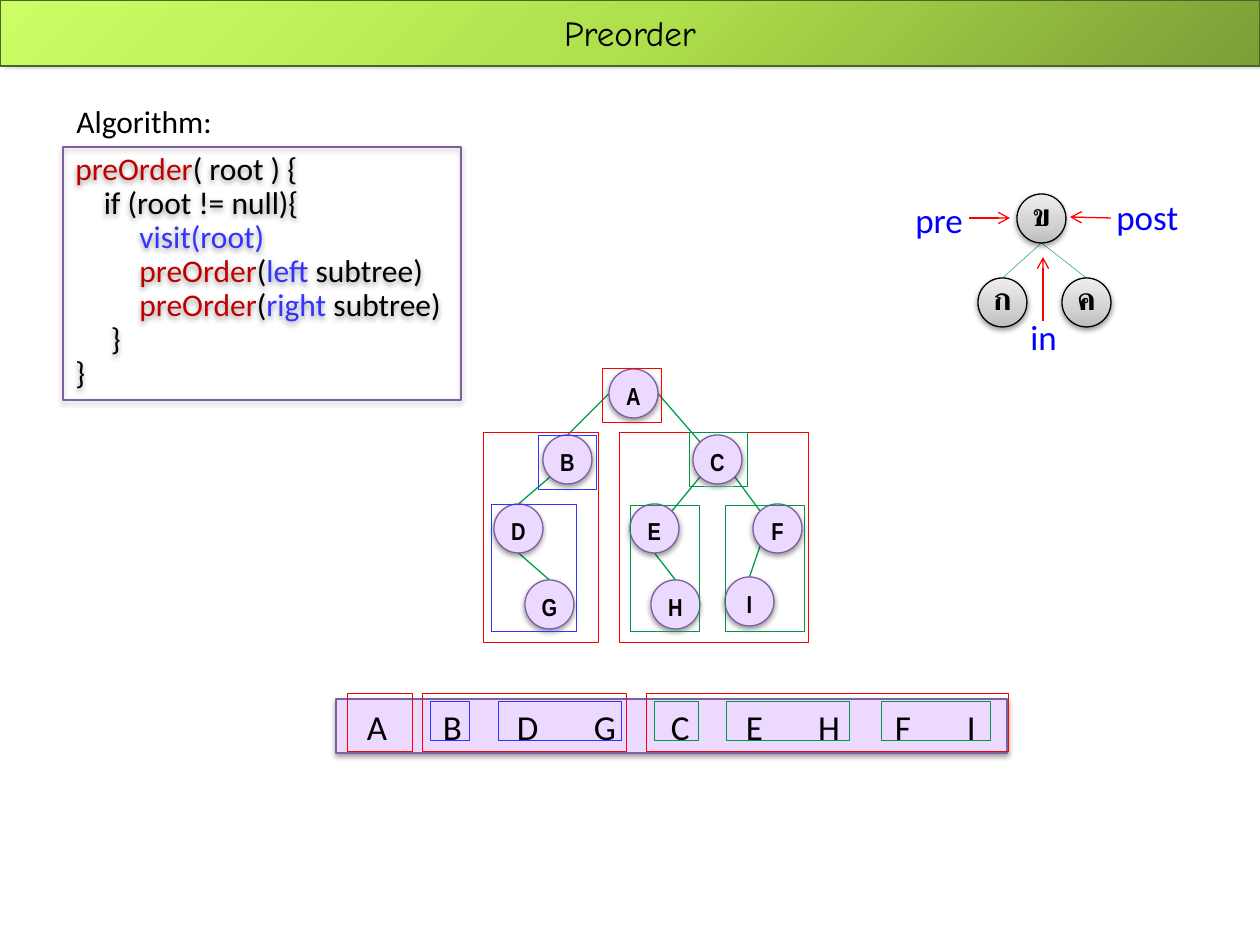
from math import cos, radians, sin

from lxml.etree import SubElement
from pptx import Presentation
from pptx.dml.color import RGBColor
from pptx.enum.shapes import MSO_CONNECTOR as CXN, MSO_SHAPE as SHAPE
from pptx.enum.text import MSO_ANCHOR as ANCHOR, PP_ALIGN as ALIGN
from pptx.oxml.ns import qn
from pptx.util import Emu, Pt

BLACK = RGBColor(0x00, 0x00, 0x00)
RED = RGBColor(0xFF, 0x00, 0x00)
DARK_RED = RGBColor(0xC0, 0x00, 0x00)
BLUE = RGBColor(0x33, 0x33, 0xFF)
LABEL_BLUE = RGBColor(0x00, 0x00, 0xFF)
GREEN = RGBColor(0x00, 0x96, 0x44)
EDGE_GREEN = RGBColor(0x00, 0x9E, 0x47)
OLIVE = RGBColor(0x4F, 0x62, 0x28)
LILAC = RGBColor(0xEC, 0xD9, 0xFF)
PURPLE = RGBColor(0x7D, 0x60, 0xA0)
TITLE_STOPS = [(0, RGBColor(0x7B, 0x9E, 0x36)), (50, RGBColor(0xAF, 0xE1, 0x4C)),
               (100, RGBColor(0xCC, 0xFF, 0x66))]
GREY_STOPS = [(0, RGBColor(0xBD, 0xBD, 0xBD)), (35, RGBColor(0xD1, 0xD1, 0xD1)),
              (100, RGBColor(0xEE, 0xEE, 0xEE))]

CODE = [
    [("preOrder", DARK_RED), ("( root ) {", BLACK)],
    [("    if (root != null){", BLACK)],
    [("         ", BLACK), ("visit(root)", BLUE)],
    [("         ", BLACK), ("preOrder", DARK_RED), ("(", BLACK), ("left ", BLUE), ("subtree)", BLACK)],
    [("         ", BLACK), ("preOrder", DARK_RED), ("(", BLACK), ("right ", BLUE), ("subtree)", BLACK)],
    [("     }", BLACK)],
    [("}", BLACK)],
]

# Visiting order: letter and its left edge
VISITS = [("A", 367), ("B", 443), ("D", 517), ("G", 594), ("C", 671),
          ("E", 746), ("H", 818), ("F", 895), ("I", 967)]
BAR = (336, 699, 671, 54)

# Nodes: left and top
NODE = 49
TREE = {"B": (543, 435), "C": (693, 435), "D": (494, 504), "E": (630, 504), "F": (753, 504),
        "G": (525, 580), "H": (651, 580), "A": (609, 369), "I": (725, 577)}
KEY = {"ข": (1017, 194), "ค": (1062, 278), "ก": (978, 278)}

# Edges: child, site, parent, site; sites run counter-clockwise from the top in steps of 45 degrees
TREE_EDGES = [("B", 0, "A", 2), ("C", 1, "A", 6), ("D", 0, "B", 3), ("E", 7, "C", 3),
              ("F", 1, "C", 5), ("G", 0, "D", 4), ("H", 0, "E", 4), ("I", 0, "F", 3)]
KEY_EDGES = [("ค", 0, "ข", 4), ("ก", 0, "ข", 4)]

# Frames around subtrees: colour and boxes
BAR_FRAMES = [
    (RED, [(348, 693, 65, 59), (646, 693, 362, 59), (423, 693, 204, 59)]),
    (BLUE, [(499, 702, 123, 39), (431, 702, 39, 39)]),
    (GREEN, [(727, 702, 123, 39), (654, 702, 44, 39), (881, 702, 110, 39)]),
]
TREE_FRAMES = [
    (RED, [(483, 432, 116, 210), (620, 432, 189, 210), (602, 368, 59, 54)]),
    (BLUE, [(538, 435, 59, 54), (491, 504, 86, 128)]),
    (GREEN, [(689, 432, 59, 54), (630, 506, 69, 126), (725, 506, 79, 126)]),
]
ARROWS = [((1043, 321), (1043, 257)), ((969, 218), (1010, 218)), ((1111, 218), (1070, 217))]
LABELS = [("in", (1018, 309, 53, 55), 20, LABEL_BLUE), ("pre", (903, 192, 74, 55), 20, LABEL_BLUE),
          ("post", (1104, 189, 88, 55), 20, LABEL_BLUE), ("Algorithm:", (64, 96, 163, 50), 18, BLACK)]


def px(n):
    return Emu(round(n * 914400 / 126))


def add_run(p, text, size, color, font="Calibri", bold=False):
    r = p.add_run()
    r.text = text
    r.font.size, r.font.name, r.font.bold = Pt(size), font, bold
    r.font.color.rgb = color


def set_insets(tf, left, top, right, bottom):
    tf.margin_left, tf.margin_top = px(left), px(top)
    tf.margin_right, tf.margin_bottom = px(right), px(bottom)


def set_shadow(sp, alpha=38, blur=3.1, dist=1.6, angle=90):
    sp.shadow.inherit = False
    effects = sp._element.spPr.find(qn("a:effectLst"))
    outer = SubElement(effects, qn("a:outerShdw"), blurRad=str(Pt(blur)), dist=str(Pt(dist)),
                       dir=str(angle * 60000), rotWithShape="0")
    color = SubElement(outer, qn("a:srgbClr"), val="000000")
    SubElement(color, qn("a:alpha"), val=str(alpha * 1000))


def set_gradient(sp, stops, circle=False):
    sp.fill.gradient()
    grad = sp._element.spPr.find(qn("a:gradFill"))
    for child in list(grad):
        grad.remove(child)
    gs_list = SubElement(grad, qn("a:gsLst"))
    for pos, color in stops:
        gs = SubElement(gs_list, qn("a:gs"), pos=str(pos * 1000))
        SubElement(gs, qn("a:srgbClr"), val=str(color))
    if circle:
        path = SubElement(grad, qn("a:path"), path="circle")
        SubElement(path, qn("a:fillToRect"), l="100000", t="100000")
    else:
        SubElement(grad, qn("a:lin"), ang="16200000", scaled="1")


def add_box(kind, box, line, width=0.75, fill=None):
    sp = s.shapes.add_shape(kind, *map(px, box))
    sp.shadow.inherit = False
    if fill is None:
        sp.fill.background()
    else:
        sp.fill.solid()
        sp.fill.fore_color.rgb = fill
    sp.line.color.rgb, sp.line.width = line, Pt(width)
    return sp


def add_frames(groups):
    for color, boxes in groups:
        for box in boxes:
            add_box(SHAPE.RECTANGLE, box, color, 0.5)


def add_line(start, end, color, width, arrow=False):
    cxn = s.shapes.add_connector(CXN.STRAIGHT, *map(px, (*start, *end)))
    cxn.line.color.rgb, cxn.line.width = color, Pt(width)
    if arrow:
        SubElement(cxn.line._get_or_add_ln(), qn("a:tailEnd"), type="arrow")
    SubElement(cxn._element.spPr, qn("a:effectLst"))


def site_point(corner, site):
    angle, radius = radians(90 + 45 * site), NODE / 2
    return corner[0] + radius * (1 + cos(angle)), corner[1] + radius * (1 - sin(angle))


def add_edges(nodes, edges, width):
    for child, child_site, parent, parent_site in edges:
        add_line(site_point(nodes[child], child_site), site_point(nodes[parent], parent_site),
                 EDGE_GREEN, width)


def add_nodes(nodes, line, size, font, insets, stops=None):
    for name, corner in nodes.items():
        sp = add_box(SHAPE.OVAL, (*corner, NODE, NODE), line, fill=LILAC)
        if stops:
            set_gradient(sp, stops)
        set_shadow(sp)
        tf = sp.text_frame
        tf.word_wrap, tf.vertical_anchor = bool(stops), ANCHOR.MIDDLE
        set_insets(tf, *insets)
        p = tf.paragraphs[0]
        p.alignment = ALIGN.CENTER
        add_run(p, name, size, BLACK, font, True)


prs = Presentation()
prs.slide_width, prs.slide_height = px(1260), px(945)
s = prs.slides.add_slide(prs.slide_layouts[5])

# Title band
title = s.shapes.title
title.left, title.top, title.width, title.height = map(px, (0, 0, 1260, 66))
set_gradient(title, TITLE_STOPS, circle=True)
title.line.color.rgb, title.line.width = OLIVE, Pt(0.75)
set_shadow(title, 40, 4, 3, 315)
title.text_frame.vertical_anchor = ANCHOR.MIDDLE
p = title.text_frame.paragraphs[0]
p.alignment = ALIGN.CENTER
add_run(p, "Preorder", 20, BLACK, "Comic Neue")

# Visiting order bar, letters set on tab stops
bar = add_box(SHAPE.RECTANGLE, BAR, PURPLE, fill=LILAC)
set_shadow(bar)
first = VISITS[0][1]
tf = bar.text_frame
tf.vertical_anchor = ANCHOR.MIDDLE
set_insets(tf, first - BAR[0], 5, 0, 5)
p = tf.paragraphs[0]
p.alignment = ALIGN.LEFT
tabs = SubElement(p._p.get_or_add_pPr(), qn("a:tabLst"))
for _, x in VISITS[1:]:
    SubElement(tabs, qn("a:tab"), pos=str(px(x - first)), algn="l")
add_run(p, "\t".join(letter for letter, _ in VISITS), 20, BLACK)
add_frames(BAR_FRAMES)

# Tree
add_edges(TREE, TREE_EDGES, 0.75)
add_nodes(TREE, PURPLE, 14, "Arial Narrow", (0, 5, 0, 0))
add_frames(TREE_FRAMES)

# Algorithm code
code = add_box(SHAPE.RECTANGLE, (63, 147, 398, 253), PURPLE)
set_shadow(code)
tf = code.text_frame
tf.vertical_anchor = ANCHOR.TOP
for i, line in enumerate(CODE):
    p = tf.add_paragraph() if i else tf.paragraphs[0]
    p.alignment, p.line_spacing = ALIGN.LEFT, 0.9
    for text, color in line:
        add_run(p, text, 18, color)

# Key to the three traversal orders
add_edges(KEY, KEY_EDGES, 0.25)
add_nodes(KEY, BLACK, 18, "Karla", (0, 0, 0, 10), GREY_STOPS)
for start, end in ARROWS:
    add_line(start, end, RED, 0.75, arrow=True)
for text, box, size, color in LABELS:
    tb = s.shapes.add_textbox(*map(px, box))
    tb.text_frame.word_wrap = False
    add_run(tb.text_frame.paragraphs[0], text, size, color)

prs.save("out.pptx")
